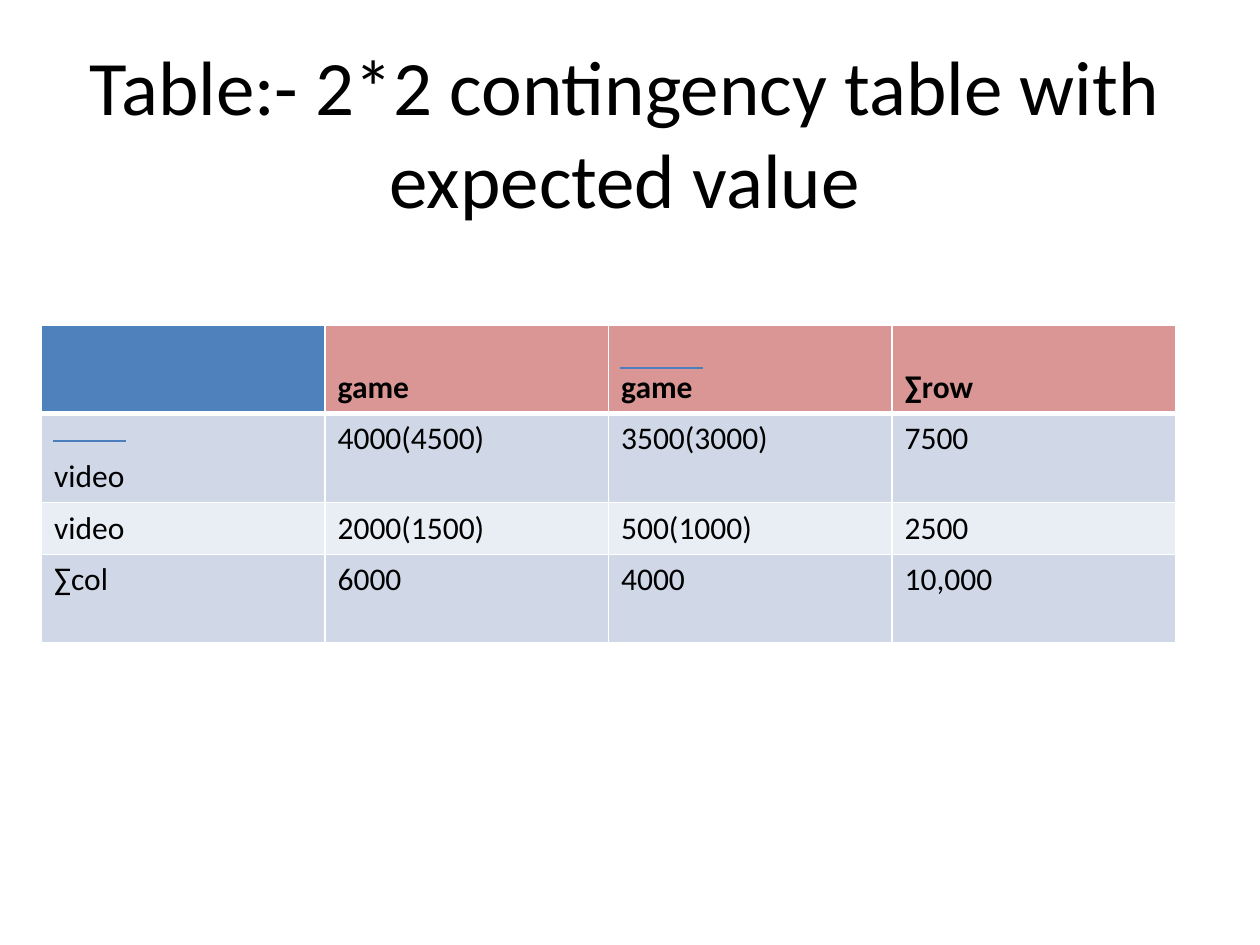
import pptx
import pptx.dml.color
import pptx.enum.shapes
import pptx.enum.text
import pptx.oxml
import pptx.oxml.ns
import pptx.util
from pptx.util import Inches

FONT = "Calibri"
ROWS = [
    ["", "game", "game", "∑row"],
    ["video", "4000(4500)", "3500(3000)", "7500"],
    ["video", "2000(1500)", "500(1000)", "2500"],
    ["∑col", "6000", "4000", "10,000"],
]
ROW_HEIGHTS = [0.7, 0.71, 0.41, 0.7]
ROW_FILLS = ["D99694", "D0D8E8", "E9EDF4", "D0D8E8"]
CORNER_FILL = "4F81BD"
OVERLINE = "4B7EBC"
BOTTOM_CELLS = {(0, 1), (0, 2), (0, 3), (1, 0)}


def color(hex_code):
    return pptx.dml.color.RGBColor.from_string(hex_code)


def style_text(frame, size, bold=False):
    for para in frame.paragraphs:
        for span in para.runs:
            span.font.name = FONT
            span.font.size = pptx.util.Pt(size)
            span.font.bold = bold
            span.font.color.rgb = color("000000")


def add_title(page, left, top, width, height):
    box = page.shapes.add_textbox(left, top, width, height)
    frame = box.text_frame
    frame.word_wrap = True
    frame.vertical_anchor = pptx.enum.text.MSO_ANCHOR.MIDDLE
    frame.text = "Table:- 2*2 contingency table with expected value"
    frame.paragraphs[0].alignment = pptx.enum.text.PP_ALIGN.CENTER
    style_text(frame, 44)


def set_borders(cell, widths):
    """Draw white cell borders; widths maps the sides L, R, T, B to points."""
    properties = cell._tc.get_or_add_tcPr()
    for index, (side, points) in enumerate(widths.items()):
        border = pptx.oxml.parse_xml(
            f'<a:ln{side} {pptx.oxml.ns.nsdecls("a")} w="{pptx.util.Pt(points)}">'
            '<a:solidFill><a:srgbClr val="FFFFFF"/></a:solidFill>'
            f'</a:ln{side}>'
        )
        properties.insert(index, border)


def add_contingency_table(page, left, top, width):
    height = Inches(sum(ROW_HEIGHTS))
    table = page.shapes.add_table(len(ROWS), len(ROWS[0]), left, top, width, height).table
    for row, row_height in zip(table.rows, ROW_HEIGHTS):
        row.height = Inches(row_height)
    for r, values in enumerate(ROWS):
        for c, value in enumerate(values):
            cell = table.cell(r, c)
            cell.text_frame.text = value
            style_text(cell.text_frame, 18, bold=r == 0)
            if (r, c) in BOTTOM_CELLS:
                cell.vertical_anchor = pptx.enum.text.MSO_ANCHOR.BOTTOM
            cell.fill.solid()
            cell.fill.fore_color.rgb = color(CORNER_FILL if r == c == 0 else ROW_FILLS[r])
            set_borders(cell, {"L": 1, "R": 1, "T": 3 if r == 1 else 1, "B": 3 if r == 0 else 1})


def add_overline(page, left, top, width):
    """Draw the bar above a label that marks its complement."""
    line = page.shapes.add_connector(
        pptx.enum.shapes.MSO_CONNECTOR.STRAIGHT, left, top, left + width, top
    )
    line.line.color.rgb = color(OVERLINE)
    line.line.width = pptx.util.Pt(0.75)
    line._element.spPr.append(pptx.oxml.parse_xml(f'<a:effectLst {pptx.oxml.ns.nsdecls("a")}/>'))


def main():
    deck = pptx.Presentation()
    deck.slide_width, deck.slide_height = Inches(10), Inches(7.5)
    page = deck.slides.add_slide(deck.slide_layouts[6])
    add_title(page, Inches(0.5), Inches(0), Inches(8.92), Inches(2.08))
    add_contingency_table(page, Inches(0.33), Inches(2.58), Inches(9))
    add_overline(page, Inches(0.42), Inches(3.5), Inches(0.58))
    add_overline(page, Inches(4.92), Inches(2.92), Inches(0.66))
    deck.save("out.pptx")


if __name__ == "__main__":
    main()
